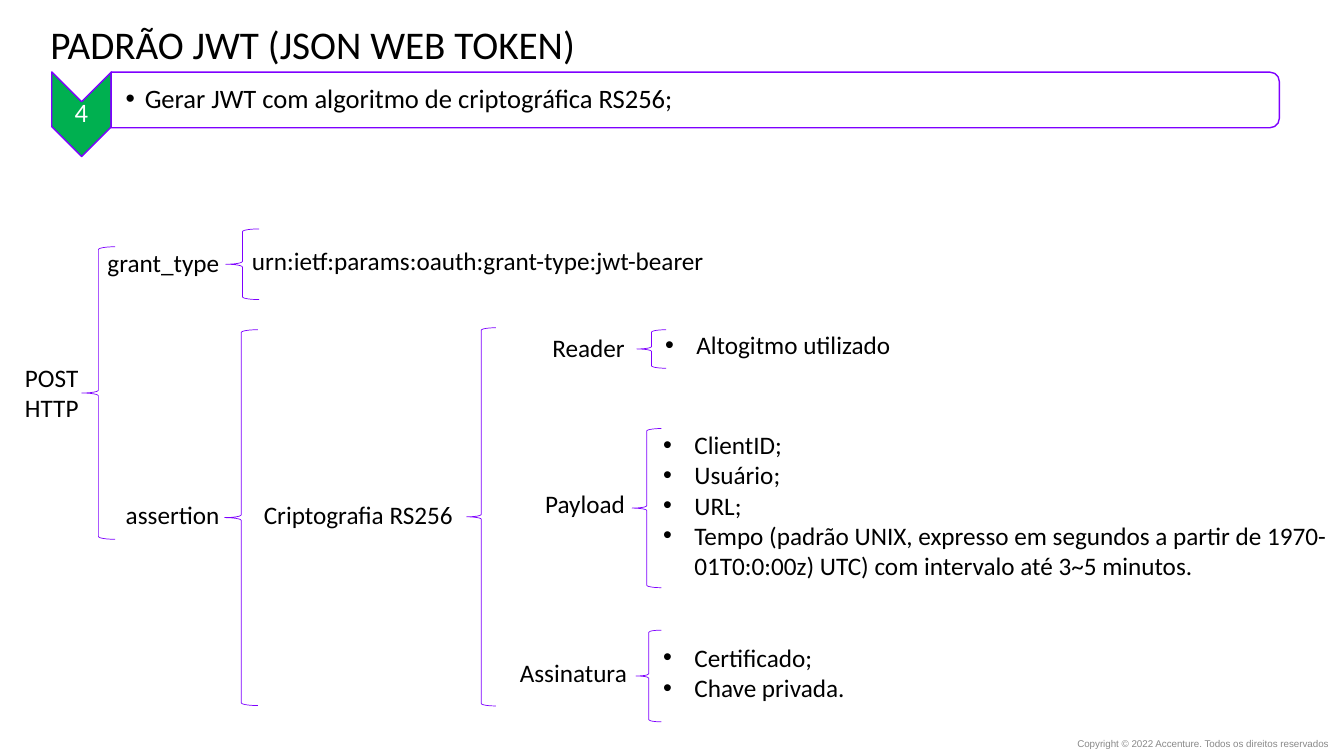
from lxml import etree
from pptx import Presentation
from pptx import util as u
from pptx.dml.color import RGBColor
from pptx.enum import shapes, text
from pptx.oxml.ns import qn

BLACK = RGBColor(0, 0, 0)
WHITE = RGBColor(255, 255, 255)
GREY = RGBColor(0x89, 0x89, 0x89)
GREEN = RGBColor(0, 0xB0, 0x50)
PURPLE = RGBColor(0x7E, 0, 0xFF)

KIND = shapes.MSO_SHAPE
ALIGN = text.PP_ALIGN
MID = text.MSO_ANCHOR.MIDDLE
FIT = text.MSO_AUTO_SIZE.SHAPE_TO_FIT_TEXT

# left, top, width, height in cm
BRACES = [
    (2.06, 6.22, 0.84, 7.37),
    (5.69, 5.77, 0.84, 1.78),
    (5.66, 8.31, 0.84, 9.47),
    (11.76, 8.26, 0.74, 9.53),
    (16.05, 8.31, 0.74, 0.97),
    (15.93, 10.8, 0.74, 4.01),
    (16.03, 15.88, 0.64, 2.31),
]
LABELS = [
    (["POST", "HTTP"], (0.38, 9.01, 2.1, 1.8)),
    (["grant_type"], (2.46, 6.1, 3.35, 1.02)),
    (["assertion"], (2.92, 12.47, 2.9, 1.02)),
    (["Criptografia RS256"], (6.4, 12.47, 5.33, 1.02)),
    (["Reader"], (13.67, 8.26, 2.36, 1.02)),
    (["Payload"], (13.49, 12.17, 2.54, 1.02)),
    (["Assinatura"], (12.85, 16.43, 3.23, 1.02)),
]
LISTS = [
    (["Altogitmo utilizado"], (16.51, 8.18, 16.94, 1.02)),
    (["ClientID;", "Usuário;", "URL;",
      "Tempo (padrão UNIX, expresso em segundos a partir de "
      "1970-01T0:0:00z) UTC) com intervalo até 3~5 minutos."],
     (16.46, 10.69, 17.4, 4.11)),
    (["Certificado;", "Chave privada."], (16.46, 16.05, 17.4, 1.8)),
]


def assign(obj, values):
    for name, value in values.items():
        setattr(obj, name, value)


def place(box):
    return [u.Cm(n) for n in box]


def bullet(para, indent):
    props = para._p.get_or_add_pPr()
    props.set("marL", str(u.Cm(indent)))
    props.set("indent", str(-u.Cm(indent)))
    etree.SubElement(props, qn("a:buFont")).set("typeface", "Arial")
    etree.SubElement(props, qn("a:buChar")).set("char", "•")


def write(slide, lines, box, size=18, color=BLACK, face="Calibri",
          indent=0, insets=None, frame=None, para=None):
    """Text box with one paragraph per line."""
    body = slide.shapes.add_textbox(*place(box)).text_frame
    assign(body, {"word_wrap": True, **(frame or {})})
    if insets:
        sides = ("left", "top", "right", "bottom")
        assign(body, {f"margin_{s}": u.Cm(n) for s, n in zip(sides, insets)})
    for i, line in enumerate(lines):
        item = body.add_paragraph() if i else body.paragraphs[0]
        if indent:
            bullet(item, indent)
        assign(item, para or {})
        run = item.add_run()
        run.text = line
        assign(run.font, {"size": u.Pt(size), "name": face})
        run.font.color.rgb = color


def draw(slide, kind, box, width, fill=None, turn=0):
    """Purple outlined preset shape."""
    shape = slide.shapes.add_shape(kind, *place(box))
    shape.shadow.inherit = False
    shape.rotation = turn
    if fill is None:
        shape.fill.background()
    else:
        shape.fill.solid()
        shape.fill.fore_color.rgb = fill
    shape.line.color.rgb = PURPLE
    shape.line.width = u.Pt(width)


def header(slide):
    write(slide, ["PADRÃO JWT (JSON WEB TOKEN)"], (1.02, 0.56, 32.03, 2.97),
          size=28, para={"line_spacing": 0.85})
    # Numbered step
    draw(slide, KIND.CHEVRON, (0.99, 2.13, 2.13, 1.5), 1, GREEN, 90)
    write(slide, ["4"], (1.3, 2.55, 1.5, 0.64), size=19, color=WHITE,
          insets=[0.03] * 4, frame={"vertical_anchor": MID},
          para={"alignment": ALIGN.CENTER, "line_spacing": 0.9})
    draw(slide, KIND.ROUND_2_SAME_RECTANGLE, (16.82, -12.2, 1.4, 29.44),
         1, WHITE, 90)
    write(slide, ["Gerar JWT com algoritmo de criptográfica RS256;"],
          (2.79, 1.9, 29.39, 1.24), size=19, indent=0.48,
          insets=(0.38, 0.03, 0.03, 0.03), frame={"vertical_anchor": MID},
          para={"line_spacing": 0.9})


def tree(slide):
    for box in BRACES:
        draw(slide, KIND.LEFT_BRACE, box, 0.5)
    for lines, box in LABELS:
        write(slide, lines, box, frame={"word_wrap": False, "auto_size": FIT})
    write(slide, ["urn:ietf:params:oauth:grant-type:jwt-bearer"],
          (6.1, 6.05, 18.06, 1.02), frame={"auto_size": FIT})
    for lines, box in LISTS:
        write(slide, lines, box, indent=0.79, insets=(0.25, 0.13, 0, 0.13),
              frame={"auto_size": FIT})


def footer(slide):
    write(slide, ["Copyright © 2022 Accenture. Todos os direitos reservados"],
          (22.05, 18.54, 11.43, 0.38), size=7, color=GREY, face="Arial",
          insets=[0] * 4, frame={"vertical_anchor": MID},
          para={"alignment": ALIGN.RIGHT})


def main():
    deck = Presentation()
    assign(deck, {"slide_width": u.Cm(33.87), "slide_height": u.Cm(19.05)})
    slide = deck.slides.add_slide(deck.slide_layouts[6])
    header(slide)
    tree(slide)
    footer(slide)
    deck.save("out.pptx")


if __name__ == "__main__":
    main()
